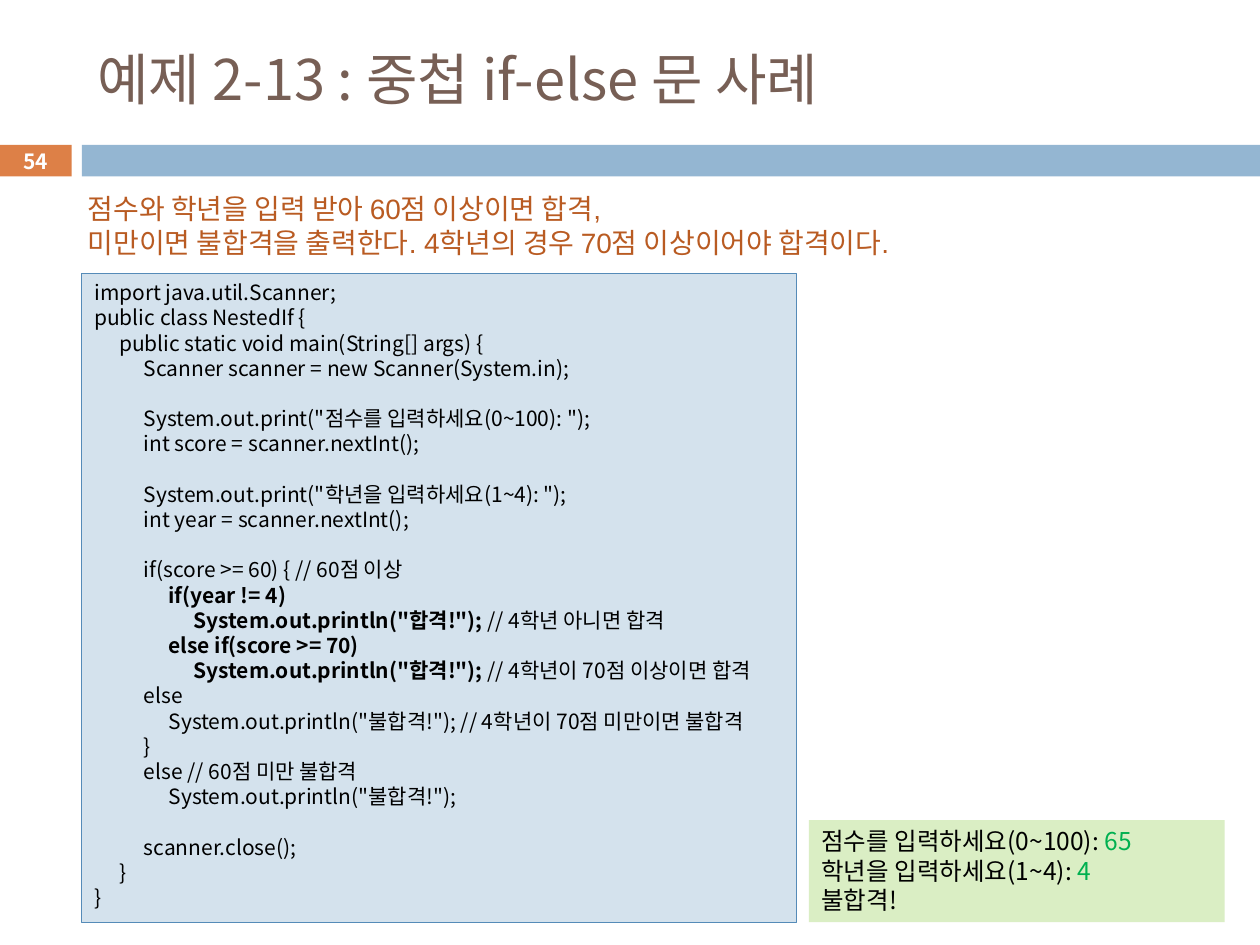
from lxml.etree import SubElement
from pptx import Presentation
from pptx.dml.color import RGBColor
from pptx.enum.shapes import MSO_SHAPE
from pptx.enum.text import MSO_ANCHOR, MSO_AUTO_SIZE, PP_ALIGN
from pptx.oxml.ns import qn
from pptx.util import Cm, Inches, Pt

COLORS = {
    "title": "775F55", "number": "DD8047", "bar": "94B6D2", "white": "FFFFFF",
    "task": "B95B22", "code": "D4E2ED", "code line": "558BB8",
    "output": "DAEEC4", "input": "00B050", "black": "000000",
}
KOREAN = "Noto Sans CJK KR"
MARK = "**"
TASK = """점수와 학년을 입력 받아 60점 이상이면 합격,
미만이면 불합격을 출력한다. 4학년의 경우 70점 이상이어야 합격이다."""
CODE = """import java.util.Scanner;
public class NestedIf {
    public static void main(String[] args) {
        Scanner scanner = new Scanner(System.in);

        System.out.print("점수를 입력하세요(0~100): ");
        int score = scanner.nextInt();

        System.out.print("학년을 입력하세요(1~4): ");
        int year = scanner.nextInt();

        if(score >= 60) { // 60점 이상
            **if(year != 4)**
                **System.out.println("합격!"); **// 4학년 아니면 합격
            **else if(score >= 70)**
                **System.out.println("합격!"); **// 4학년이 70점 이상이면 합격
        else
            System.out.println("불합격!"); // 4학년이 70점 미만이면 불합격
        }
        else // 60점 미만 불합격
            System.out.println("불합격!");

        scanner.close();
    }
}"""
OUTPUT = """점수를 입력하세요(0~100): **65**
학년을 입력하세요(1~4): **4**
불합격!"""


class SlideBuilder:
    columns, rows = 100, 75

    def __init__(self, deck):
        self.deck = deck
        self.page = deck.slides.add_slide(deck.slide_layouts[5])

    def place(self, left, top, width, height):
        column = self.deck.slide_width / self.columns
        row = self.deck.slide_height / self.rows
        return [int(n) for n in (left * column, top * row, width * column, height * row)]

    def style(self, span, color="black", **formats):
        for name, value in {"name": KOREAN, **formats}.items():
            setattr(span.font, name, value)
        span.font.color.rgb = RGBColor.from_string(COLORS[color])
        SubElement(span.font._element, qn("a:ea")).set("typeface", KOREAN)

    def fill_text(self, box, text, formats, accent=None, anchor=MSO_ANCHOR.TOP,
                  align=PP_ALIGN.LEFT, spacing=None, tabs=0):
        frame = box.text_frame
        settings = {"word_wrap": True, "auto_size": MSO_AUTO_SIZE.NONE, "vertical_anchor": anchor}
        for name, value in settings.items():
            setattr(frame, name, value)
        for index, line in enumerate(text.split("\n")):
            para = frame.add_paragraph() if index else frame.paragraphs[0]
            if tabs:
                stops = SubElement(para._p.get_or_add_pPr(), qn("a:tabLst"))
                for stop in range(1, tabs + 1):
                    tab = SubElement(stops, qn("a:tab"))
                    tab.set("pos", str(Cm(0.5 * stop)))
                    tab.set("algn", "l")
                line = line.replace("    ", "\t")
            para.alignment = align
            para.line_spacing = spacing
            for part, words in enumerate(line.split(MARK)):
                if words:
                    span = para.add_run()
                    span.text = words
                    self.style(span, **{**formats, **(accent if part % 2 else {})})

    def title(self, grid, text, **formats):
        box = self.page.shapes.title
        for name, value in zip(("left", "top", "width", "height"), self.place(*grid)):
            setattr(box, name, value)
        self.fill_text(box, text, formats, anchor=MSO_ANCHOR.MIDDLE)

    def text(self, grid, text, formats, **layout):
        self.fill_text(self.page.shapes.add_textbox(*self.place(*grid)), text, formats, **layout)

    def panel(self, grid, fill, line=None):
        box = self.page.shapes.add_shape(MSO_SHAPE.RECTANGLE, *self.place(*grid))
        box.shadow.inherit = False
        box.fill.solid()
        box.fill.fore_color.rgb = RGBColor.from_string(COLORS[fill])
        if line:
            box.line.color.rgb = RGBColor.from_string(COLORS[line])
            box.line.width = Pt(0.75)
        else:
            box.line.fill.background()
        return box


deck = Presentation()
deck.slide_width, deck.slide_height = Inches(10), Inches(7.5)
slide = SlideBuilder(deck)

number = slide.panel((0, 11.5, 5.7, 2.5), "number")
slide.fill_text(number, "54", {"size": Pt(12), "bold": True, "color": "white"},
                anchor=MSO_ANCHOR.MIDDLE, align=PP_ALIGN.CENTER)
slide.panel((6.5, 11.5, 93.5, 2.5), "bar")
slide.title((6.7, 2.5, 89.2, 7.4), "예제 2-13 : 중첩 if-else 문 사례", size=Pt(32), color="title")
slide.text((6, 14.7, 73.6, 6.4), TASK, {"size": Pt(16), "name": "Arial", "color": "task"},
           spacing=Pt(19.4))
code = slide.panel((6.5, 21.7, 56.7, 51.5), "code", "code line")
slide.fill_text(code, CODE, {"size": Pt(12)}, accent={"bold": True}, spacing=Pt(14.4), tabs=4)
output = slide.panel((64.2, 65.1, 33, 8.1), "output")
slide.fill_text(output, OUTPUT, {"size": Pt(14)}, accent={"color": "input"}, spacing=Pt(16.8))

deck.save("out.pptx")
